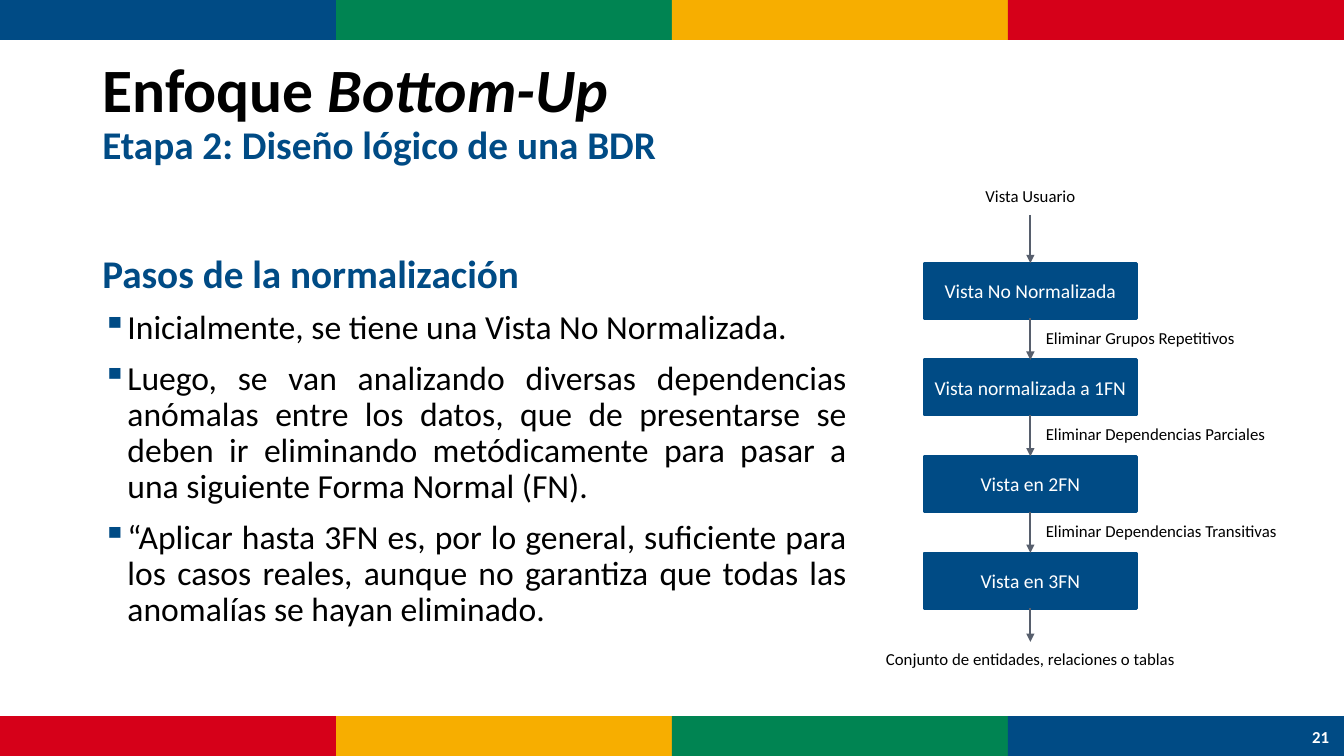
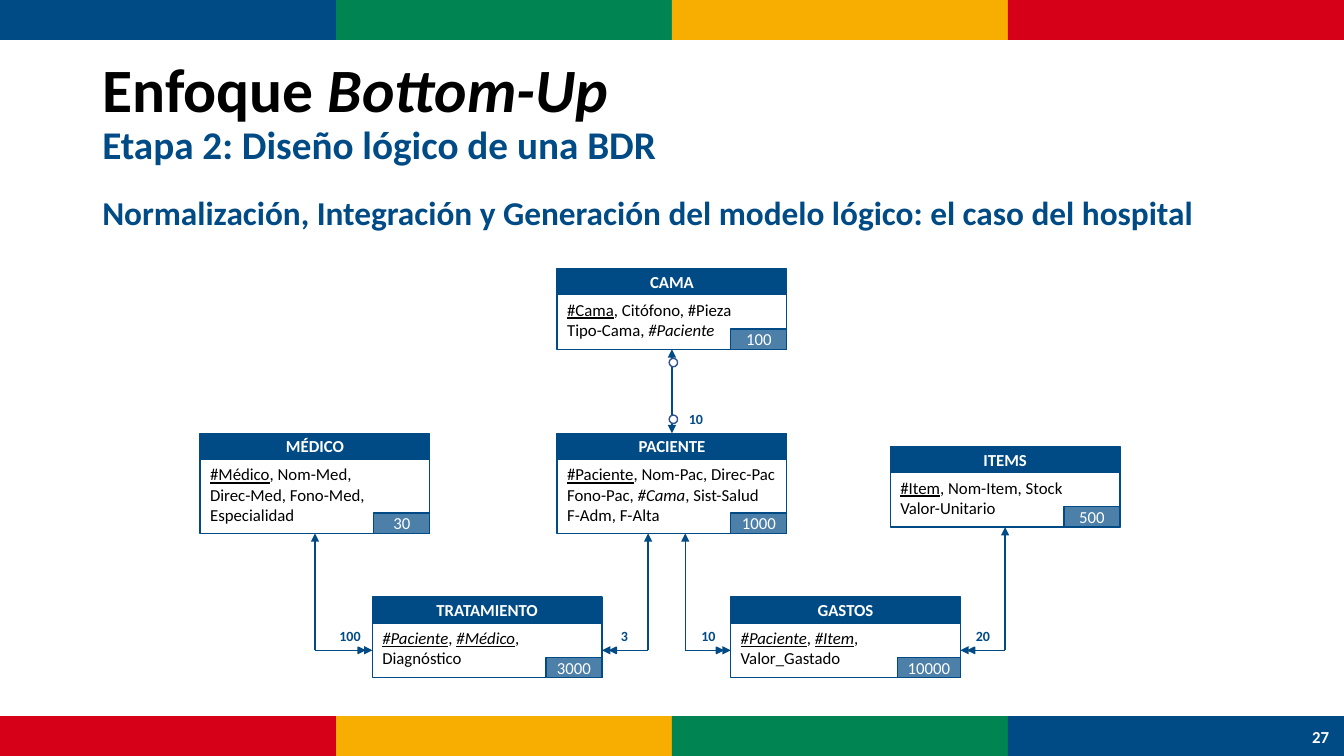
from dataclasses import dataclass

from lxml.etree import SubElement
from pptx import Presentation
from pptx.dml.color import RGBColor
from pptx.enum.shapes import MSO_CONNECTOR as Connector, MSO_SHAPE as Preset
from pptx.enum.text import MSO_ANCHOR as Anchor, PP_ALIGN as Align
from pptx.oxml.ns import qn
from pptx.util import Pt


@dataclass(frozen=True)
class Theme:
    font: str = "Calibri"
    blue: str = "004B85"
    green: str = "008452"
    yellow: str = "F7AE00"
    red: str = "D60019"
    black: str = "000000"
    white: str = "FFFFFF"
    gray: str = "575F6D"
    ring: str = "31538F"
    title: float = 44
    heading: float = 28
    subheading: float = 23.8
    body: float = 24
    step: float = 14
    small: float = 12
    count: float = 10


THEME = Theme()
WIDTH, HEIGHT = 960, 540
BAND_HEIGHT = 28.5
TOP, LEFT, BOTTOM, RIGHT = range(4)
ITALIC = {"italic": True}
KEY = {"underline": True}
FOREIGN_KEY = {"italic": True, "underline": True}


def write_text(shape, text, size=THEME.small, color=THEME.black, bold=False,
               align=Align.LEFT, line_spacing=None, space_before=None, bullet=None):
    frame = shape.text_frame
    paragraph = frame.paragraphs[0]
    if paragraph.runs:
        paragraph = frame.add_paragraph()
    paragraph.alignment = align
    if line_spacing:
        paragraph.line_spacing = line_spacing
    if space_before:
        paragraph.space_before = Pt(space_before)
    if bullet:
        add_bullet(paragraph, bullet)
    pieces = [(text, {})] if isinstance(text, str) else text
    for piece, style in pieces:
        run = paragraph.add_run()
        run.text = piece
        font = run.font
        font.name, font.size, font.bold = THEME.font, Pt(size), bold
        font.color.rgb = RGBColor.from_string(color)
        font.italic = style.get("italic", False)
        font.underline = style.get("underline", False)


def add_bullet(paragraph, character):
    properties = paragraph._p.get_or_add_pPr()
    properties.set("marL", str(Pt(18)))
    properties.set("indent", str(Pt(-18)))
    color = SubElement(properties, qn("a:buClr"))
    SubElement(color, qn("a:srgbClr"), val=THEME.blue)
    SubElement(properties, qn("a:buChar"), char=character)


def set_frame(shape, anchor, inset=(0, 0)):
    frame = shape.text_frame
    frame.word_wrap = True
    frame.vertical_anchor = anchor
    frame.margin_left = frame.margin_right = Pt(inset[0])
    frame.margin_top = frame.margin_bottom = Pt(inset[1])


def add_text_box(slide, left, top, width, height, anchor=Anchor.TOP, inset=(0, 0)):
    box = slide.shapes.add_textbox(Pt(left), Pt(top), Pt(width), Pt(height))
    set_frame(box, anchor, inset)
    return box


def add_label(slide, text, left, top, width, height=14.5, **text_format):
    write_text(add_text_box(slide, left, top, width, height), text, **text_format)


def add_preset(slide, preset, left, top, width, height, fill, line=None,
               line_width=1, alpha=None, anchor=Anchor.MIDDLE, inset=(0, 0)):
    shape = slide.shapes.add_shape(preset, Pt(left), Pt(top), Pt(width), Pt(height))
    shape.shadow.inherit = False
    shape.fill.solid()
    shape.fill.fore_color.rgb = RGBColor.from_string(fill)
    if alpha:
        color = shape.element.spPr.find(f"{qn('a:solidFill')}/{qn('a:srgbClr')}")
        SubElement(color, qn("a:alpha"), val=str(alpha * 1000))
    if line:
        shape.line.color.rgb = RGBColor.from_string(line)
        shape.line.width = Pt(line_width)
    else:
        shape.line.fill.background()
    set_frame(shape, anchor, inset)
    return shape


def add_line(slide, start, end, color=THEME.blue, width=1, heads=("tailEnd",),
             begin=None, finish=None):
    points = [Pt(value) for value in (*start, *end)]
    connector = slide.shapes.add_connector(Connector.STRAIGHT, *points)
    connector.line.color.rgb = RGBColor.from_string(color)
    connector.line.width = Pt(width)
    line = connector.line._get_or_add_ln()
    for head in heads:
        SubElement(line, qn(f"a:{head}"), type="triangle")
    SubElement(connector.element.spPr, qn("a:effectLst"))
    if begin:
        connector.begin_connect(*begin)
    if finish:
        connector.end_connect(*finish)


def add_base_slide(presentation, number):
    slide = presentation.slides.add_slide(presentation.slide_layouts[6])
    colors = (THEME.blue, THEME.green, THEME.yellow, THEME.red)
    band_width = WIDTH / len(colors)
    for top, band in ((0, colors), (HEIGHT - BAND_HEIGHT, colors[::-1])):
        for index, color in enumerate(band):
            add_preset(slide, Preset.RECTANGLE, index * band_width, top,
                       band_width, BAND_HEIGHT, color)
    title = add_text_box(slide, 66, 29, 828, 104, Anchor.MIDDLE, (7.2, 3.6))
    write_text(title, [("Enfoque ", {}), ("Bottom-Up", ITALIC)],
               size=THEME.title, bold=True, line_spacing=0.9)
    write_text(title, "Etapa 2: Diseño lógico de una BDR", size=THEME.heading,
               color=THEME.blue, bold=True, line_spacing=0.9)
    page = add_text_box(slide, 926.5, 512, 33.5, 28, Anchor.MIDDLE)
    write_text(page, str(number), color=THEME.white, bold=True, align=Align.CENTER)
    return slide


def add_normalization_text(slide):
    body = add_text_box(slide, 66, 144, 546, 343, Anchor.MIDDLE, (7.2, 3.6))
    write_text(body, "Pasos de la normalización", size=THEME.heading, color=THEME.blue,
               bold=True, align=Align.JUSTIFY, line_spacing=0.9)
    for text in (
        "Inicialmente, se tiene una Vista No Normalizada.",
        "Luego, se van analizando diversas dependencias anómalas entre los datos, "
        "que de presentarse se deben ir eliminando metódicamente para pasar a una "
        "siguiente Forma Normal (FN).",
        "“Aplicar hasta 3FN es, por lo general, suficiente para los casos reales, "
        "aunque no garantiza que todas las anomalías se hayan eliminado.",
    ):
        write_text(body, text, size=THEME.body, align=Align.JUSTIFY,
                   line_spacing=0.9, space_before=10, bullet="▪")


def add_normalization_flow(slide):
    left, first_top, width, height, pitch = 660, 188, 152, 39.5, 69
    center = left + width / 2
    steps = (
        ("Vista No Normalizada", "Eliminar Grupos Repetitivos"),
        ("Vista normalizada a 1FN", "Eliminar Dependencias Parciales"),
        ("Vista en 2FN", "Eliminar Dependencias Transitivas"),
        ("Vista en 3FN", None),
    )
    arrow = {"color": THEME.gray, "width": 1.5}
    add_label(slide, "Vista Usuario", center - 50, 133, 100, align=Align.CENTER)
    start, begin = (center, 153.5), None
    for index, (name, action) in enumerate(steps):
        top = first_top + index * pitch
        box = add_preset(slide, Preset.RECTANGLE, left, top, width, height,
                         THEME.blue, THEME.blue, line_width=2, inset=(4, 3.6))
        write_text(box, name, size=THEME.step, color=THEME.white, align=Align.CENTER)
        add_line(slide, start, (center, top), begin=begin, finish=(box, TOP), **arrow)
        start, begin = (center, top + height), (box, BOTTOM)
        if action:
            add_label(slide, action, center + 11, top + 46, 175)
    add_line(slide, start, (center, 458.5), begin=begin, **arrow)
    add_label(slide, "Conjunto de entidades, relaciones o tablas",
              center - 110, 463.5, 220, align=Align.CENTER)


def add_entity(slide, name, left, top, lines, records, body_height=39, badge_width=40):
    width, header_height, badge_height = 164, 18.5, 14.5
    header = add_preset(slide, Preset.RECTANGLE, left, top, width, header_height,
                        THEME.blue, THEME.blue)
    write_text(header, name, color=THEME.white, bold=True, align=Align.CENTER)
    body_top = top + header_height
    body = add_preset(slide, Preset.RECTANGLE, left, body_top, width, body_height,
                      THEME.white, THEME.blue, anchor=Anchor.TOP, inset=(7.2, 3.6))
    for line in lines:
        write_text(body, line)
    badge = add_preset(slide, Preset.RECTANGLE, left + width - badge_width,
                       body_top + body_height - badge_height, badge_width, badge_height,
                       THEME.blue, THEME.blue, alpha=70)
    write_text(badge, records, color=THEME.white, align=Align.CENTER)
    return header, body


def add_count(slide, text, left, top):
    add_label(slide, text, left, top, 32, 12.5, size=THEME.count, color=THEME.blue,
              bold=True, align=Align.CENTER)


def add_link(slide, child, side, parent, count, corner_x=None):
    direction = 1 if side == RIGHT else -1
    edge = child.left.pt + (child.width.pt if side == RIGHT else 0)
    middle = child.top.pt + child.height.pt / 2
    parent_bottom = parent.top.pt + parent.height.pt
    finish = None
    if corner_x is None:
        corner_x = parent.left.pt + parent.width.pt / 2
        finish = (parent, BOTTOM)
    corner = (corner_x, middle)
    add_line(slide, corner, (edge, middle), finish=(child, side))
    add_line(slide, corner, (corner_x, parent_bottom), finish=finish)
    size = 4.5
    arrow = add_preset(slide, Preset.ISOSCELES_TRIANGLE, edge + direction * 8 - size / 2,
                       middle - size / 2, size, size, THEME.blue, THEME.blue)
    arrow.rotation = 270 if side == RIGHT else 90
    add_count(slide, count, edge if side == RIGHT else edge - 32, middle - 16.5)


def add_hospital_model(slide):
    _, bed = add_entity(slide, "CAMA", 398, 192, [
        [("#Cama", KEY), (", Citófono, #Pieza", {})],
        [("Tipo-Cama, ", {}), ("#Paciente", ITALIC)],
    ], "100")
    patient_header, patient = add_entity(slide, "PACIENTE", 398, 309.5, [
        [("#Paciente", KEY), (", Nom-Pac, Direc-Pac", {})],
        [("Fono-Pac, ", {}), ("#Cama", ITALIC), (", Sist-Salud", {})],
        "F-Adm, F-Alta",
    ], "1000", body_height=53)
    _, doctor = add_entity(slide, "MÉDICO", 143, 309.5, [
        [("#Médico", KEY), (", Nom-Med,", {})],
        "Direc-Med, Fono-Med, Especialidad",
    ], "30", body_height=53)
    _, items = add_entity(slide, "ITEMS", 636, 319, [
        [("#Item", KEY), (", Nom-Item, Stock", {})],
        "Valor-Unitario",
    ], "500")
    _, treatment = add_entity(slide, "TRATAMIENTO", 266, 426.5, [
        [("#Paciente", FOREIGN_KEY), (", ", {}), ("#Médico", FOREIGN_KEY), (",", {})],
        "Diagnóstico",
    ], "3000")
    _, expenses = add_entity(slide, "GASTOS", 522, 426.5, [
        [("#Paciente", FOREIGN_KEY), (", ", {}), ("#Item", FOREIGN_KEY), (",", {})],
        "Valor_Gastado",
    ], "10000", badge_width=45)

    add_line(slide, (480, 249.5), (480, 309.5), heads=("headEnd", "tailEnd"),
             begin=(bed, BOTTOM), finish=(patient_header, TOP))
    for top in (256, 296.5):
        add_preset(slide, Preset.OVAL, 478, top, 6, 6, THEME.white, THEME.ring)
    add_count(slide, "10", 481, 293)
    add_link(slide, treatment, LEFT, doctor, "100")
    add_link(slide, treatment, RIGHT, patient, "3", corner_x=463)
    add_link(slide, expenses, LEFT, patient, "10", corner_x=489.5)
    add_link(slide, expenses, RIGHT, items, "20")


def main():
    presentation = Presentation()
    presentation.slide_width, presentation.slide_height = Pt(WIDTH), Pt(HEIGHT)

    steps_slide = add_base_slide(presentation, 21)
    add_normalization_text(steps_slide)
    add_normalization_flow(steps_slide)

    model_slide = add_base_slide(presentation, 27)
    heading = add_text_box(model_slide, 66, 132.5, 848, 43, Anchor.MIDDLE, (7.2, 3.6))
    write_text(heading, "Normalización, Integración y Generación del modelo lógico: "
               "el caso del hospital", size=THEME.subheading, color=THEME.blue,
               bold=True, align=Align.JUSTIFY, line_spacing=0.8)
    add_hospital_model(model_slide)

    presentation.save("out.pptx")


if __name__ == "__main__":
    main()
